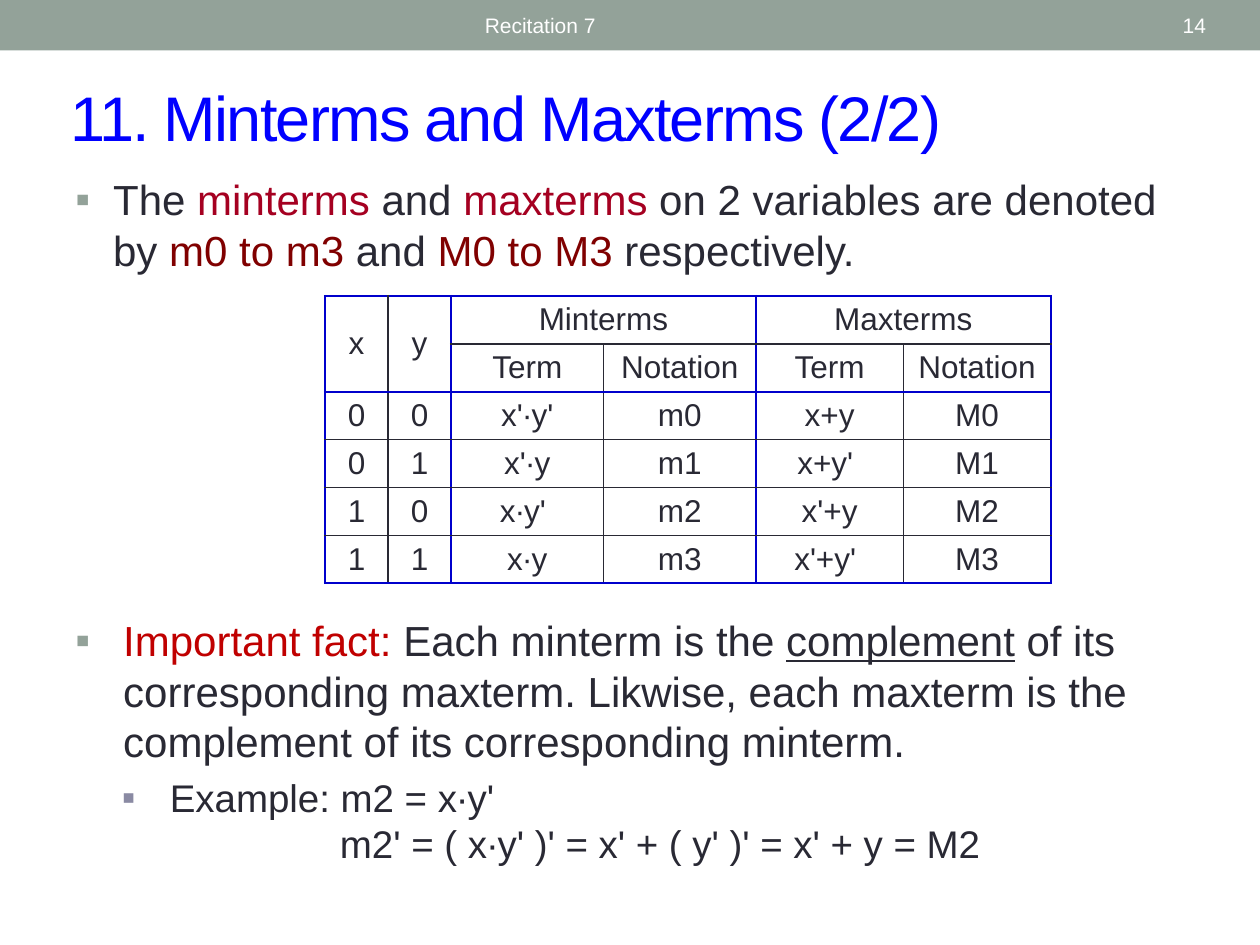
from lxml.etree import SubElement
from pptx import Presentation
from pptx.dml.color import RGBColor
from pptx.enum.shapes import MSO_SHAPE
from pptx.enum.text import MSO_ANCHOR, PP_ALIGN
from pptx.oxml.ns import qn
from pptx.util import Inches, Pt

SAGE = RGBColor(0x93, 0xA2, 0x99)
MAUVE = RGBColor(0x8A, 0x8A, 0xA3)
WHITE = RGBColor(0xFF, 0xFF, 0xFF)
INK = RGBColor(0x29, 0x29, 0x34)
BLUE = RGBColor(0x00, 0x00, 0xFF)
NAVY = RGBColor(0x00, 0x00, 0xCC)
CRIMSON = RGBColor(0xA5, 0x00, 0x21)
MAROON = RGBColor(0x80, 0x00, 0x00)
RED = RGBColor(0xC0, 0x00, 0x00)

ROWS = [
    ["x", "y", "Minterms", "", "Maxterms", ""],
    ["", "", "Term", "Notation", "Term", "Notation"],
    ["0", "0", "x'∙y'", "m0", "x+y", "M0"],
    ["0", "1", "x'∙y", "m1", "x+y' ", "M1"],
    ["1", "0", "x∙y' ", "m2", "x'+y", "M2"],
    ["1", "1", "x∙y", "m3", "x'+y' ", "M3"],
]
WIDTHS = [0.5, 0.5, 1.21, 1.21, 1.17, 1.17]
MERGES = [(0, 0, 1, 0), (0, 1, 1, 1), (0, 2, 0, 3), (0, 4, 0, 5)]
NAVY_COLS = (0, 2, 4, 6)
NAVY_ROWS = (0, 2, 6)


def style(para, size, color):
    para.font.name = "Arial"
    para.font.size = Pt(size)
    para.font.color.rgb = color


def add_box(slide, left, top, width, height):
    box = slide.shapes.add_textbox(Inches(left), Inches(top), Inches(width), Inches(height))
    box.text_frame.word_wrap = True
    return box.text_frame


def add_label(slide, text, left, width, align):
    frame = add_box(slide, left, 0.02, width, 0.36)
    frame.vertical_anchor = MSO_ANCHOR.MIDDLE
    para = frame.paragraphs[0]
    para.text = text
    para.alignment = align
    style(para, 12, WHITE)


def add_title(slide, text):
    title = slide.shapes.title
    title.left, title.top = Inches(0.46), Inches(0.57)
    title.width, title.height = Inches(9.07), Inches(0.7)
    title.text_frame.vertical_anchor = MSO_ANCHOR.MIDDLE
    para = title.text_frame.paragraphs[0]
    para.text = text
    para.alignment = PP_ALIGN.LEFT
    style(para, 36, BLUE)
    para.runs[0].font._element.set("spc", "-100")


def write(para, parts, size, margin, hang=0.0, bullet=None):
    """Fill a paragraph from (text, colour) parts; bullet is the marker colour."""
    style(para, size, INK)
    props = para._p.get_or_add_pPr()
    props.set("marL", str(Inches(margin)))
    props.set("indent", str(-Inches(hang)))
    if bullet is not None:
        para.space_before = Pt(size * 0.2)
        tint = SubElement(props, qn("a:buClr"))
        SubElement(tint, qn("a:srgbClr"), val=str(bullet))
        SubElement(props, qn("a:buFont"), typeface="Arial")
        SubElement(props, qn("a:buChar"), char="▪")
        # Default run properties must follow the bullet in the schema order
        props.append(props.find(qn("a:defRPr")))
    for text, color in parts:
        run = para.add_run()
        run.text = text
        run.font.color.rgb = color
    return para


def set_edge(cell, side, navy):
    line = SubElement(cell._tc.get_or_add_tcPr(), qn("a:ln" + side),
                      w=str(Pt(1.5 if navy else 1)))
    fill = SubElement(line, qn("a:solidFill"))
    SubElement(fill, qn("a:srgbClr"), val=str(NAVY if navy else INK))


def fill_cell(cell, text, row, col):
    right = col + (cell.span_width if cell.is_merge_origin else 1)
    bottom = row + (cell.span_height if cell.is_merge_origin else 1)
    set_edge(cell, "L", col in NAVY_COLS)
    set_edge(cell, "R", right in NAVY_COLS)
    set_edge(cell, "T", row in NAVY_ROWS)
    set_edge(cell, "B", bottom in NAVY_ROWS)
    cell.fill.background()
    cell.margin_top = cell.margin_bottom = Inches(0.04)
    cell.vertical_anchor = MSO_ANCHOR.MIDDLE
    para = cell.text_frame.paragraphs[0]
    para.text = text
    para.alignment = PP_ALIGN.CENTER
    style(para, 18, INK)


def add_terms(slide):
    table = slide.shapes.add_table(len(ROWS), len(WIDTHS), Inches(2.58), Inches(2.35),
                                   Inches(sum(WIDTHS)), Inches(0.38 * len(ROWS))).table
    table.first_row = table.horz_banding = False
    for col, width in zip(table.columns, WIDTHS):
        col.width = Inches(width)
    for top, left, low, right in MERGES:
        table.cell(top, left).merge(table.cell(low, right))
    for row, texts in enumerate(ROWS):
        for col, text in enumerate(texts):
            cell = table.cell(row, col)
            if not cell.is_spanned:
                fill_cell(cell, text, row, col)


def add_intro(slide):
    frame = add_box(slide, 0.5, 1.33, 8.83, 1)
    write(frame.paragraphs[0], [
        ("The ", INK), ("minterms", CRIMSON), (" and ", INK), ("maxterms", CRIMSON),
        (" on 2 variables are denoted by ", INK), ("m0 to m3", MAROON),
        (" and ", INK), ("M0 to M3", MAROON), (" respectively.", INK),
    ], 24, 0.3, 0.3, SAGE)


def add_fact(slide):
    frame = add_box(slide, 0.5, 4.83, 9, 2.35)
    fact = write(frame.paragraphs[0], [
        ("Important fact: ", RED), ("Each minterm is the ", INK), ("complement", INK),
        (" of its corresponding maxterm. Likwise, each maxterm is the complement"
         " of its corresponding minterm.", INK),
    ], 24, 0.38, 0.38, SAGE)
    fact.runs[2].font.underline = True
    sample = write(frame.add_paragraph(), [("Example: m2 = x∙y'", INK)],
                   22, 0.75, 0.38, MAUVE)
    proof = write(frame.add_paragraph(),
                  [("m2' = ( x∙y' )' = x' + ( y' )' = x' + y = M2", INK)], 22, 2.1)
    sample.level = proof.level = 1


def main():
    deck = Presentation()
    deck.slide_width, deck.slide_height = Inches(10), Inches(7.5)
    slide = deck.slides.add_slide(deck.slide_layouts[5])
    band = slide.shapes.add_shape(MSO_SHAPE.RECTANGLE, 0, 0, Inches(10), Inches(0.4))
    band.shadow.inherit = False
    band.fill.solid()
    band.fill.fore_color.rgb = SAGE
    band.line.fill.background()
    add_title(slide, "11. Minterms and Maxterms (2/2)")
    add_label(slide, "Recitation 7", 3.75, 4.5, PP_ALIGN.LEFT)
    add_label(slide, "14", 8.72, 0.95, PP_ALIGN.RIGHT)
    add_intro(slide)
    add_fact(slide)
    add_terms(slide)
    deck.save("out.pptx")


if __name__ == "__main__":
    main()
